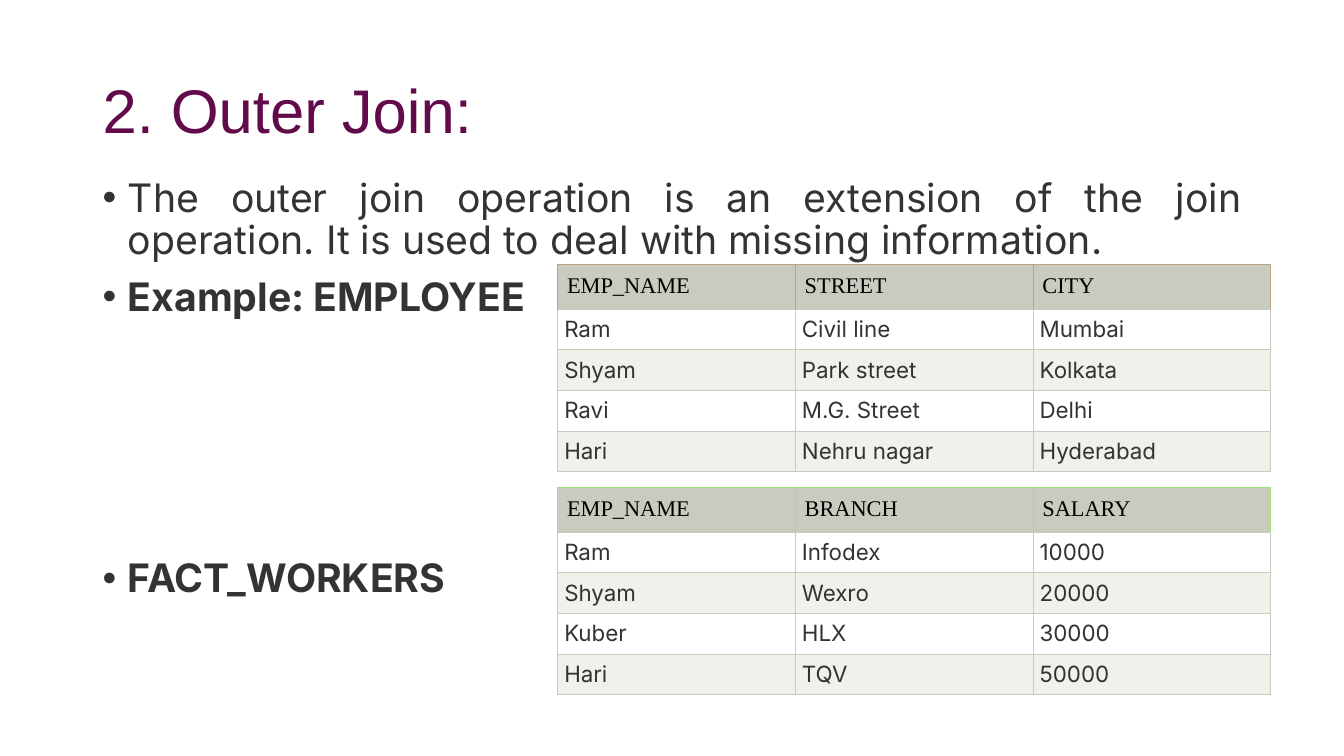
from lxml.etree import SubElement
from pptx import Presentation
from pptx.dml.color import RGBColor
from pptx.enum.text import MSO_ANCHOR, MSO_AUTO_SIZE, PP_ALIGN
from pptx.oxml.ns import qn
from pptx.util import Cm, Pt

COLOURS = {
    "title": "610B4B",
    "text": "333333",
    "header_text": "000000",
    "header": "C7CCBE",
    "plain": "FFFFFF",
    "band": "EFF1EB",
    "employee_edge": "C0A181",
    "worker_edge": "A0E278",
}


def add_text(para, text, font_name, size, colour, bold=False):
    span = para.add_run()
    span.text = text
    span.font.name = font_name
    span.font.size = Pt(size)
    span.font.bold = bold
    span.font.color.rgb = RGBColor.from_string(COLOURS[colour])


def add_borders(cell, edge):
    properties = cell._tc.get_or_add_tcPr()
    for side, colour in (("L", edge), ("R", edge), ("T", edge), ("B", "header")):
        line = SubElement(properties, qn(f"a:ln{side}"), w=str(Pt(0.6)))
        fill = SubElement(line, qn("a:solidFill"))
        SubElement(fill, qn("a:srgbClr"), val=COLOURS[colour])


deck = Presentation()
deck.slide_width = Cm(33.87)
deck.slide_height = Cm(19.05)
page = deck.slides.add_slide(deck.slide_layouts[1])

title = page.shapes.title
title.left, title.top, title.width, title.height = Cm(2.33), Cm(1.01), Cm(29.21), Cm(3.68)
title.text_frame.auto_size = MSO_AUTO_SIZE.NONE
title.text_frame.vertical_anchor = MSO_ANCHOR.MIDDLE
para = title.text_frame.paragraphs[0]
para.alignment = PP_ALIGN.LEFT
para.line_spacing = 0.9
add_text(para, "2. Outer Join:", "Arial", 44, "title")

body = page.placeholders[1]
body.left, body.top, body.width, body.height = Cm(2.33), Cm(4.37), Cm(29.21), Cm(12.78)
frame = body.text_frame
frame.auto_size = MSO_AUTO_SIZE.NONE
frame.vertical_anchor = MSO_ANCHOR.TOP
bullets = [
    ("The outer join operation is an extension of the join operation. "
     "It is used to deal with missing information.", False, 0),
    ("Example: EMPLOYEE", True, 10),
    ("FACT_WORKERS", True, 171),
]
for index, (text, bold, space_before) in enumerate(bullets):
    para = frame.add_paragraph() if index else frame.paragraphs[0]
    properties = para._p.get_or_add_pPr()
    properties.set("marL", str(Cm(0.64)))
    properties.set("indent", str(-Cm(0.64)))
    SubElement(properties, qn("a:buFont"), typeface="Arial")
    SubElement(properties, qn("a:buChar"), char="•")
    para.alignment = PP_ALIGN.JUSTIFY
    para.line_spacing = 0.9
    para.space_before = Pt(space_before)
    add_text(para, text, "Inter", 28, "text", bold)

tables = [
    (6.66, "employee_edge", [
        ("EMP_NAME", "STREET", "CITY"),
        ("Ram", "Civil line", "Mumbai"),
        ("Shyam", "Park street", "Kolkata"),
        ("Ravi", "M.G. Street", "Delhi"),
        ("Hari", "Nehru nagar", "Hyderabad"),
    ]),
    (12.28, "worker_edge", [
        ("EMP_NAME", "BRANCH", "SALARY"),
        ("Ram", "Infodex", "10000"),
        ("Shyam", "Wexro", "20000"),
        ("Kuber", "HLX", "30000"),
        ("Hari", "TQV", "50000"),
    ]),
]
for top, edge, records in tables:
    table = page.shapes.add_table(
        len(records), 3, Cm(14.05), Cm(top), Cm(17.97), Cm(5.21)).table
    table.first_row = False
    table.horz_banding = False
    for column in table.columns:
        column.width = Cm(5.99)
    for row_index, record in enumerate(records):
        is_header = row_index == 0
        table.rows[row_index].height = Cm(1.13 if is_header else 1.02)
        fill_name = "header" if is_header else ("band", "plain")[row_index % 2]
        inset = Cm(0.24 if is_header else 0.17)
        for column_index, text in enumerate(record):
            cell = table.cell(row_index, column_index)
            cell.margin_left = cell.margin_right = inset
            cell.margin_top = cell.margin_bottom = inset
            add_borders(cell, edge if is_header else "header")
            cell.fill.solid()
            cell.fill.fore_color.rgb = RGBColor.from_string(COLOURS[fill_name])
            para = cell.text_frame.paragraphs[0]
            if is_header:
                para.alignment = PP_ALIGN.LEFT
                add_text(para, text, "Times New Roman", 16, "header_text")
            else:
                para.alignment = PP_ALIGN.JUSTIFY
                add_text(para, text, "Inter", 16, "text")

deck.save("out.pptx")
